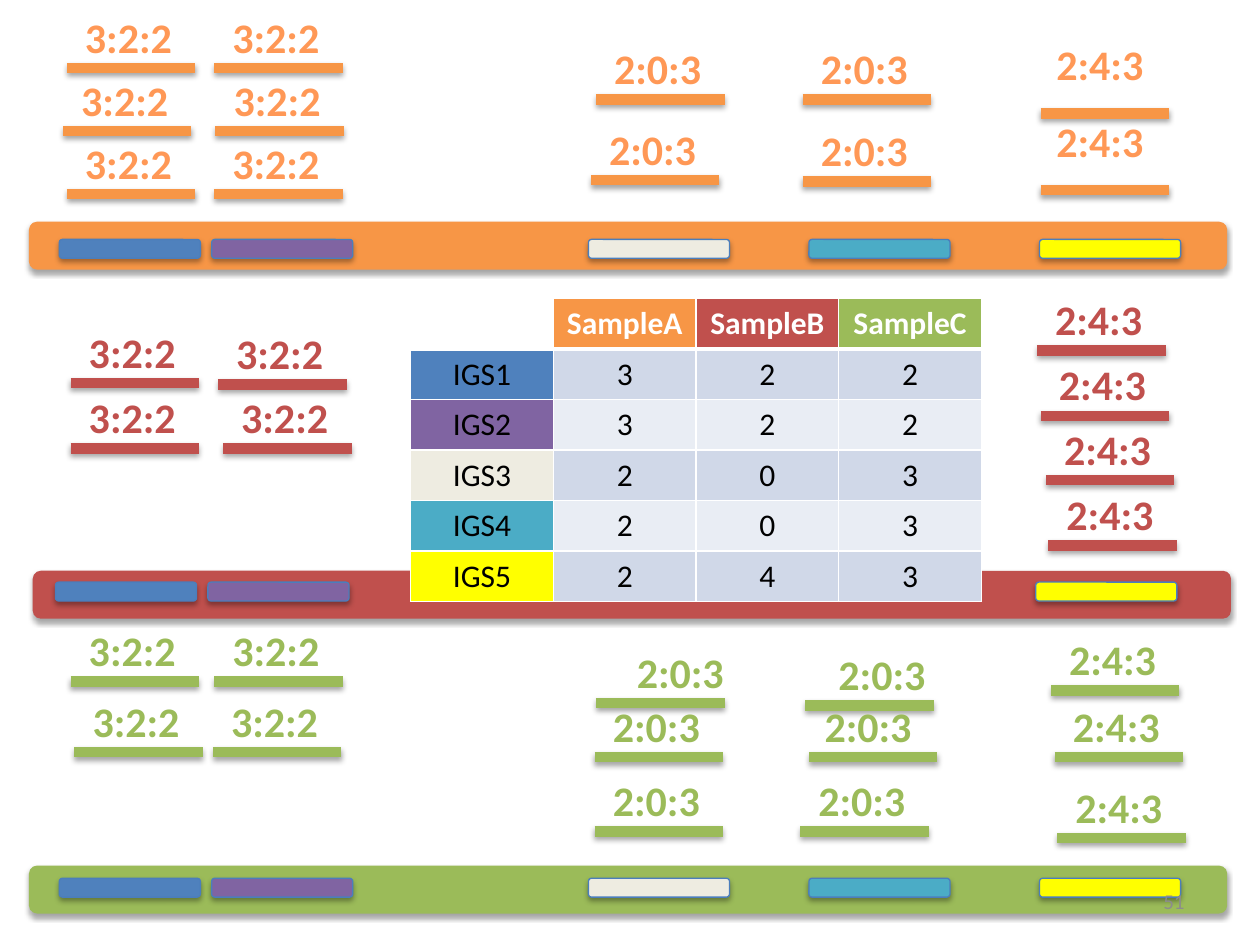
from dataclasses import dataclass

import lxml.etree
import pptx
import pptx.dml.color
import pptx.enum.shapes
import pptx.enum.text
import pptx.oxml
import pptx.oxml.ns
import pptx.util

Inches = pptx.util.Inches
Pt = pptx.util.Pt
qn = pptx.oxml.ns.qn
Align = pptx.enum.text.PP_ALIGN
Shapes = pptx.enum.shapes.MSO_SHAPE

ORANGE, RED, GREEN = "F79646", "C0504D", "9BBB59"
ORANGE_TEXT = "FF9856"
WHITE, BLACK, GREY, GENE_EDGE = "FFFFFF", "000000", "8C8C8C", "4B7EBC"
STRIPES = ("D0D8E8", "E9EDF4")
READ_WIDTH = 1.02
LABEL_SIZE = (0.9, 0.5)


@dataclass(frozen=True)
class Gene:
    name: str
    colour: str
    offset: float
    counts: tuple[int, int, int]


@dataclass(frozen=True)
class Genome:
    sample: str
    colour: str
    left: float
    top: float
    gene_left: float
    gene_top: float
    genes: tuple[int, ...]


@dataclass(frozen=True)
class Read:
    left: float
    y: float
    label_dx: float = 0.04
    label_rise: float = 0.5


@dataclass(frozen=True)
class ReadGroup:
    ratio: str
    colour: str
    label_colour: str
    reads: tuple[Read, ...]


GENES = (
    Gene("IGS1", "4F81BD", 0, (3, 2, 2)),
    Gene("IGS2", "8064A2", 1.21, (3, 2, 2)),
    Gene("IGS3", "EEECE1", 4.2, (2, 0, 3)),
    Gene("IGS4", "4BACC6", 5.95, (2, 0, 3)),
    Gene("IGS5", "FFFF00", 7.78, (2, 4, 3)),
)

GENOMES = (
    Genome("SampleA", ORANGE, 0.23, 1.76, 0.47, 1.9, (0, 1, 2, 3, 4)),
    Genome("SampleB", RED, 0.26, 4.53, 0.44, 4.62, (0, 1, 4)),
    Genome("SampleC", GREEN, 0.23, 6.87, 0.47, 6.97, (0, 1, 2, 3, 4)),
)

READ_GROUPS = (
    ReadGroup("3:2:2", ORANGE, ORANGE_TEXT, (
        Read(0.53, 0.54), Read(0.5, 1.04), Read(0.53, 1.54),
        Read(1.7, 0.54), Read(1.71, 1.04), Read(1.7, 1.54))),
    ReadGroup("2:0:3", ORANGE, ORANGE_TEXT, (
        Read(4.73, 0.79), Read(4.69, 1.43), Read(6.37, 0.79), Read(6.37, 1.44))),
    ReadGroup("2:4:3", ORANGE, ORANGE_TEXT, (
        Read(8.26, 0.9, 0.02, 0.64), Read(8.26, 1.51, 0.02, 0.64))),
    ReadGroup("3:2:2", RED, RED, (
        Read(0.56, 3.04), Read(0.56, 3.56), Read(1.73, 3.05), Read(1.77, 3.56))),
    ReadGroup("2:4:3", RED, RED, (
        Read(8.23, 2.78), Read(8.26, 3.3), Read(8.3, 3.81), Read(8.32, 4.33))),
    ReadGroup("3:2:2", GREEN, GREEN, (
        Read(0.56, 5.41), Read(0.59, 5.97), Read(1.7, 5.41), Read(1.69, 5.97))),
    ReadGroup("2:0:3", GREEN, GREEN, (
        Read(4.73, 5.58, 0.22), Read(4.72, 6.01), Read(4.72, 6.6),
        Read(6.39, 5.6, 0.16), Read(6.42, 6.01, 0.02), Read(6.35, 6.6))),
    ReadGroup("2:4:3", GREEN, GREEN, (
        Read(8.34, 5.48), Read(8.37, 6.01), Read(8.39, 6.65))),
)


def rgb(colour: str) -> pptx.dml.color.RGBColor:
    return pptx.dml.color.RGBColor.from_string(colour)


def write(frame, text: str, *, size: float, colour: str, bold: bool = False,
          align=Align.CENTER) -> None:
    paragraph = frame.paragraphs[0]
    paragraph.alignment = align
    run = paragraph.add_run()
    run.text = text
    run.font.name = "Calibri"
    run.font.size = Pt(size)
    run.font.bold = bold
    run.font.color.rgb = rgb(colour)


def cast_shadow(shape) -> None:
    effects = lxml.etree.SubElement(shape._element.spPr, qn("a:effectLst"))
    shadow = lxml.etree.SubElement(
        effects, qn("a:outerShdw"), blurRad="40000", dist="23000",
        dir="5400000", rotWithShape="0")
    tint = lxml.etree.SubElement(shadow, qn("a:srgbClr"), val=BLACK)
    lxml.etree.SubElement(tint, qn("a:alpha"), val="35000")


def draw_read(slide, group: ReadGroup, read: Read) -> None:
    strand = slide.shapes.add_connector(
        pptx.enum.shapes.MSO_CONNECTOR.STRAIGHT, Inches(read.left), Inches(read.y),
        Inches(read.left + READ_WIDTH), Inches(read.y))
    strand.line.color.rgb = rgb(group.colour)
    strand.line.width = Pt(6)
    cast_shadow(strand)
    label = slide.shapes.add_textbox(
        Inches(read.left + read.label_dx), Inches(read.y - read.label_rise),
        *map(Inches, LABEL_SIZE))
    label.text_frame.word_wrap = False
    write(label.text_frame, group.ratio, size=24, colour=group.label_colour, bold=True)


def draw_bar(slide, left: float, top: float, width: float, height: float,
             colour: str, edge: str | None = None) -> None:
    bar = slide.shapes.add_shape(
        Shapes.ROUNDED_RECTANGLE, *map(Inches, (left, top, width, height)))
    bar.fill.solid()
    bar.fill.fore_color.rgb = rgb(colour)
    if edge:
        bar.line.color.rgb = rgb(edge)
        bar.line.width = Pt(0.75)
    else:
        bar.line.fill.background()
    cast_shadow(bar)


def draw_genes(slide, genome: Genome) -> None:
    for index in genome.genes:
        gene = GENES[index]
        draw_bar(slide, genome.gene_left + gene.offset, genome.gene_top, 1.12, 0.15,
                 gene.colour, GENE_EDGE)


def format_cell(cell, colour: str | None, bottom: float) -> None:
    properties = cell._tc.get_or_add_tcPr()
    for side, width in (("L", 1), ("R", 1), ("T", 1), ("B", bottom)):
        border = lxml.etree.SubElement(properties, qn(f"a:ln{side}"), w=str(Pt(width)))
        paint = lxml.etree.SubElement(border, qn("a:solidFill"))
        lxml.etree.SubElement(paint, qn("a:srgbClr"), val=WHITE)
    if colour:
        cell.fill.solid()
        cell.fill.fore_color.rgb = rgb(colour)
    else:
        cell.fill.background()


def draw_counts(slide) -> None:
    counts = slide.shapes.add_table(
        len(GENES) + 1, len(GENOMES) + 1,
        *map(Inches, (3.26, 2.37, 4.53, 2.4))).table
    counts.first_row = counts.horz_banding = False
    format_cell(counts.cell(0, 0), None, 3)
    for column, genome in enumerate(GENOMES, 1):
        header = counts.cell(0, column)
        format_cell(header, genome.colour, 3)
        write(header.text_frame, genome.sample, size=18, colour=WHITE, bold=True)
    for row, gene in enumerate(GENES, 1):
        stripe = STRIPES[(row - 1) % 2]
        for column, value in enumerate((gene.name, *gene.counts)):
            cell = counts.cell(row, column)
            format_cell(cell, stripe if column else gene.colour, 1)
            write(cell.text_frame, str(value), size=18, colour=BLACK)


def main() -> None:
    deck = pptx.Presentation()
    deck.slide_width, deck.slide_height = Inches(10), Inches(7.5)
    slide = deck.slides.add_slide(deck.slide_layouts[6])
    for group in READ_GROUPS:
        for read in group.reads:
            draw_read(slide, group, read)
    for genome in GENOMES:
        draw_bar(slide, genome.left, genome.top, 9.51, 0.38, genome.colour)
    for genome in GENOMES:
        draw_genes(slide, genome)
    draw_counts(slide)
    page = slide.shapes.add_textbox(*map(Inches, (7.17, 6.95, 2.33, 0.4))).text_frame
    page.word_wrap = True
    page.vertical_anchor = pptx.enum.text.MSO_ANCHOR.MIDDLE
    write(page, "51", size=12, colour=GREY, align=Align.RIGHT)
    deck.save("out.pptx")


if __name__ == "__main__":
    main()
